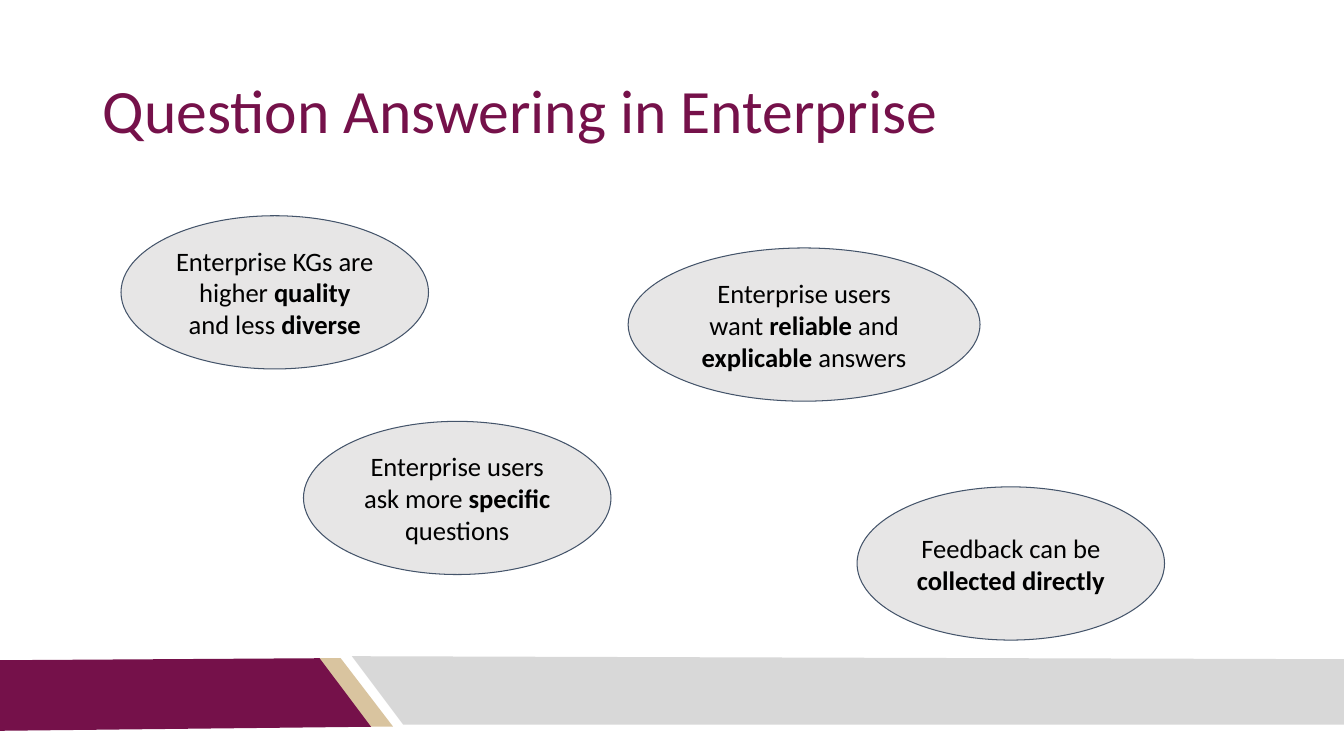
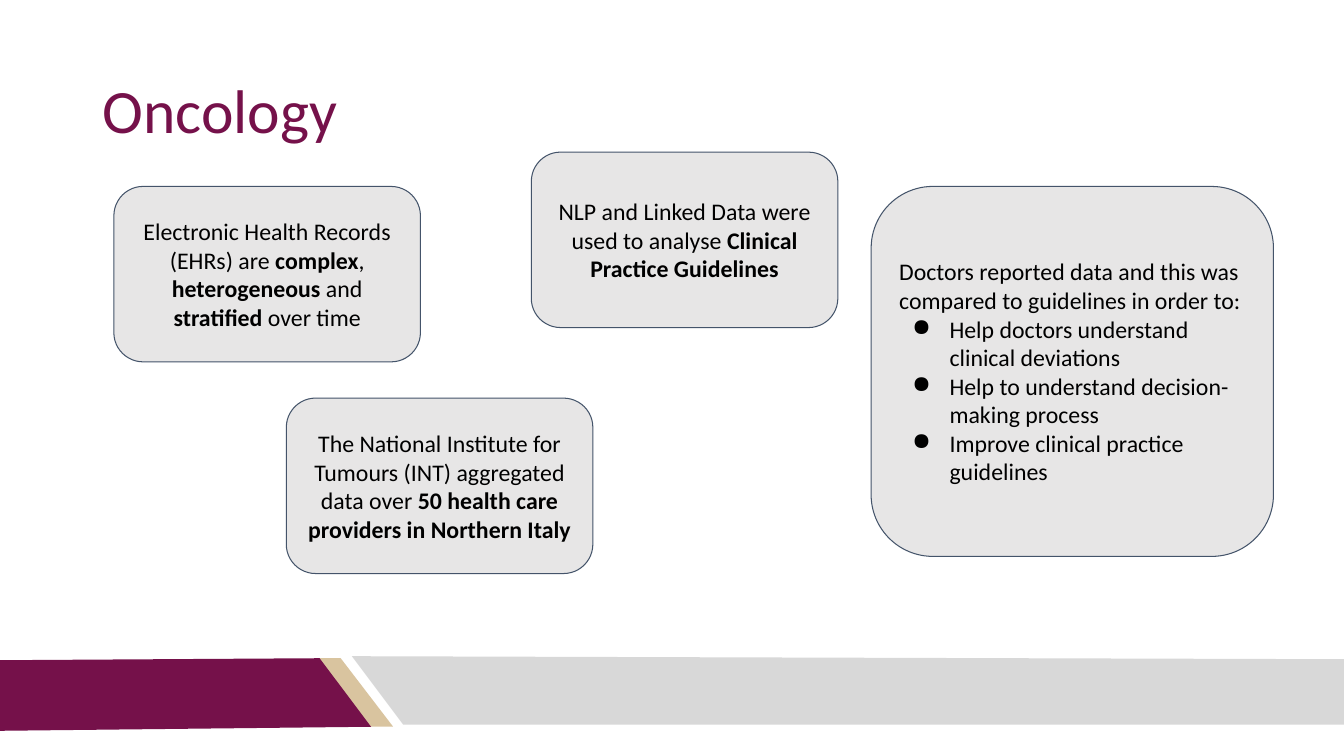
"""Build two slides on question answering in enterprise and oncology."""
from dataclasses import dataclass

from lxml.etree import SubElement
from pptx import Presentation
from pptx.dml.color import RGBColor
from pptx.enum.shapes import MSO_SHAPE
from pptx.enum.text import MSO_ANCHOR, PP_ALIGN
from pptx.oxml.ns import qn
from pptx.shapes.base import BaseShape
from pptx.slide import Slide
from pptx.text.text import TextFrame
from pptx.util import Inches, Pt

COLORS = {
    "plum": "75114A",
    "sand": "D9C49F",
    "band": "D8D8D8",
    "bubble": "E7E6E6",
    "outline": "44546A",
    "text": "000000",
}
FONT = "Calibri"
BULLET = "● "


@dataclass(frozen=True)
class Band:
    color: str
    corners: tuple[tuple[float, float], ...]


@dataclass(frozen=True)
class Bubble:
    left: float
    top: float
    width: float
    height: float
    lines: tuple[str, ...]
    align: PP_ALIGN = PP_ALIGN.CENTER


@dataclass(frozen=True)
class Topic:
    title: str
    outline: MSO_SHAPE
    text_size: float
    bubbles: tuple[Bubble, ...]


FOOTER = (
    Band("sand", ((3.16, 6.53), (3.38, 6.53), (3.9, 7.21), (3.67, 7.21))),
    Band("plum", ((0, 6.55), (3.17, 6.53), (3.68, 7.21), (0, 7.25))),
    Band("band", ((3.49, 6.51), (13.33, 6.54), (13.33, 7.19), (4, 7.19))),
)

TOPICS = (
    Topic("Question Answering in Enterprise", MSO_SHAPE.OVAL, 19, (
        Bubble(1.2, 2.14, 3.05, 1.52,
               ("Enterprise KGs are higher **quality** and less **diverse**",)),
        Bubble(3.01, 4.18, 3.05, 1.52,
               ("Enterprise users ask more **specific **questions",)),
        Bubble(6.23, 2.46, 3.49, 1.52,
               ("Enterprise users want **reliable** and **explicable** answers",)),
        Bubble(8.5, 4.83, 3.05, 1.52,
               ("Feedback can be **collected directly**",)),
    )),
    Topic("Oncology", MSO_SHAPE.ROUNDED_RECTANGLE, 17, (
        Bubble(1.13, 1.85, 3.04, 1.74,
               ("Electronic Health Records (EHRs) are **complex**, "
                "**heterogeneous** and **stratified** over time",)),
        Bubble(2.84, 3.95, 3.04, 1.74,
               ("The National Institute for Tumours (INT) aggregated data over "
                "**50 health care providers in Northern Italy**",)),
        Bubble(5.27, 1.51, 3.04, 1.74,
               ("NLP and Linked Data were used to analyse "
                "**Clinical Practice Guidelines**",)),
        Bubble(8.64, 1.85, 3.99, 3.67,
               ("Doctors reported data and this was compared to guidelines "
                "in order to:",
                "● Help doctors understand clinical deviations",
                "● Help to understand decision-making process",
                "● Improve clinical practice guidelines"),
               PP_ALIGN.LEFT),
    )),
)


def rgb(name: str) -> RGBColor:
    """Look up a named colour."""
    return RGBColor.from_string(COLORS[name])


def add_bullet(paragraph) -> None:
    """Give a paragraph a hanging round bullet."""
    properties = paragraph._p.get_or_add_pPr()
    properties.set("marL", str(Inches(0.5)))
    properties.set("indent", str(Inches(-0.37)))
    color = SubElement(properties, qn("a:buClr"))
    SubElement(color, qn("a:srgbClr"), val=COLORS["text"])
    SubElement(properties, qn("a:buChar"), char=BULLET.strip())


def write_text(frame: TextFrame, lines: tuple[str, ...], *, size: float,
               color: str = "text", align: PP_ALIGN = PP_ALIGN.LEFT,
               line_spacing: float = 1.0) -> None:
    """Fill a frame with lines, where ** switches bold and ● marks a bullet."""
    frame.word_wrap = True
    frame.vertical_anchor = MSO_ANCHOR.MIDDLE
    frame.margin_left = frame.margin_right = Inches(0.1)
    frame.margin_top = frame.margin_bottom = Inches(0.1)
    for index, line in enumerate(lines):
        paragraph = frame.add_paragraph() if index else frame.paragraphs[0]
        if line.startswith(BULLET):
            add_bullet(paragraph)
        paragraph.alignment = align
        paragraph.line_spacing = line_spacing
        for part, words in enumerate(line.removeprefix(BULLET).split("**")):
            if words:
                run = paragraph.add_run()
                run.text = words
                run.font.name = FONT
                run.font.size = Pt(size)
                run.font.bold = part % 2 == 1
                run.font.color.rgb = rgb(color)


def paint(shape: BaseShape, fill: str, outline: str | None = None) -> None:
    """Set a flat fill and an optional thin outline."""
    shape.shadow.inherit = False
    shape.fill.solid()
    shape.fill.fore_color.rgb = rgb(fill)
    if outline:
        shape.line.color.rgb = rgb(outline)
        shape.line.width = Pt(0.75)
    else:
        shape.line.fill.background()


def add_footer(slide: Slide) -> None:
    """Draw the slanted bands along the bottom."""
    for band in FOOTER:
        start, *others = [(Inches(x), Inches(y)) for x, y in band.corners]
        builder = slide.shapes.build_freeform(*start)
        builder.add_line_segments(others, close=True)
        paint(builder.convert_to_shape(), band.color)


def add_title(slide: Slide, title: str) -> None:
    """Write the slide title."""
    heading = slide.shapes.add_textbox(
        Inches(0.92), Inches(0.4), Inches(11.5), Inches(1.45))
    write_text(heading.text_frame, (title,), size=44, color="plum",
               line_spacing=0.9)


def add_bubble(slide: Slide, bubble: Bubble, topic: Topic) -> None:
    """Draw one statement in the outline of its topic."""
    statement = slide.shapes.add_shape(
        topic.outline, Inches(bubble.left), Inches(bubble.top),
        Inches(bubble.width), Inches(bubble.height))
    paint(statement, "bubble", "outline")
    write_text(statement.text_frame, bubble.lines, size=topic.text_size,
               align=bubble.align)


def main() -> None:
    """Build and save the presentation."""
    deck = Presentation()
    deck.slide_width, deck.slide_height = Inches(13.33), Inches(7.5)
    for topic in TOPICS:
        slide = deck.slides.add_slide(deck.slide_layouts[6])
        add_footer(slide)
        add_title(slide, topic.title)
        for bubble in topic.bubbles:
            add_bubble(slide, bubble, topic)
    deck.save("out.pptx")


if __name__ == "__main__":
    main()
